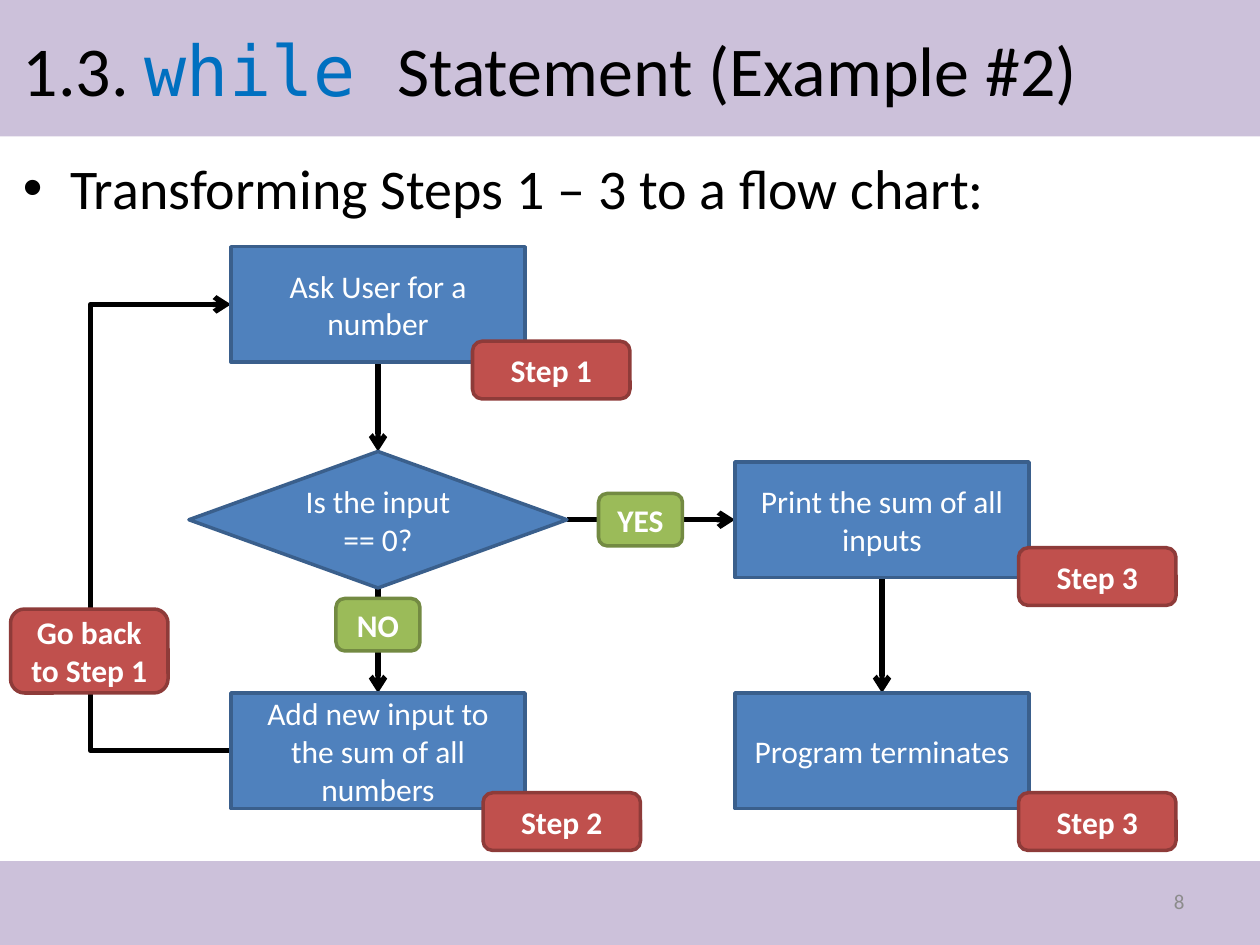
from dataclasses import dataclass

from lxml import etree
from pptx import Presentation
from pptx import util as u
from pptx.dml import color
from pptx.enum import shapes, text
from pptx.oxml import ns

Pt = u.Pt
Kind = shapes.MSO_SHAPE
Align = text.PP_ALIGN


@dataclass(frozen=True)
class Theme:
    band: str = "CCC1DA"
    ink: str = "000000"
    keyword: str = "0070C0"
    muted: str = "8C8C8C"
    white: str = "FFFFFF"
    node: tuple = ("4F81BD", "3A5F8C")
    step: tuple = ("C0504D", "8E3B39")
    answer: tuple = ("9BBB59", "738A42")
    font: str = "Calibri"
    code_font: str = "DejaVu Sans Mono"
    title_size: int = 40
    body_size: int = 32
    node_size: int = 18
    number_size: int = 12
    border: int = 2
    arrow: int = 3


THEME = Theme()


def rgb(value):
    return color.RGBColor.from_string(value)


def add_child(parent, tag, **attributes):
    return etree.SubElement(parent, ns.qn(tag), attributes)


def write(para, words, size, ink=THEME.ink, font=THEME.font, bold=False, align=Align.LEFT):
    para.alignment = align
    span = para.add_run()
    span.text = words
    span.font.name = font
    span.font.size = Pt(size)
    span.font.bold = bold
    span.font.color.rgb = rgb(ink)


def add_text_box(page, left, top, width, height, anchor=text.MSO_ANCHOR.MIDDLE):
    box = page.shapes.add_textbox(Pt(left), Pt(top), Pt(width), Pt(height))
    box.text_frame.word_wrap = True
    box.text_frame.vertical_anchor = anchor
    return box.text_frame.paragraphs[0]


def add_block(page, kind, left, top, width, height, fill, line=None):
    block = page.shapes.add_shape(kind, Pt(left), Pt(top), Pt(width), Pt(height))
    block.shadow.inherit = False
    block.fill.solid()
    block.fill.fore_color.rgb = rgb(fill)
    if line:
        block.line.color.rgb = rgb(line)
        block.line.width = Pt(THEME.border)
    else:
        block.line.fill.background()
    return block


def add_node(page, words, kind, left, top, width, height, colors, bold=False):
    node = add_block(page, kind, left, top, width, height, *colors)
    frame = node.text_frame
    frame.word_wrap = True
    frame.vertical_anchor = text.MSO_ANCHOR.MIDDLE
    write(frame.paragraphs[0], words, THEME.node_size, ink=THEME.white,
          bold=bold, align=Align.CENTER)


def add_arrow(page, start, end, kind=shapes.MSO_CONNECTOR.STRAIGHT):
    arrow = page.shapes.add_connector(kind, *(Pt(value) for value in (*start, *end)))
    arrow.line.color.rgb = rgb(THEME.ink)
    arrow.line.width = Pt(THEME.arrow)
    add_child(arrow.line._get_or_add_ln(), "a:tailEnd", type="arrow")
    add_child(arrow._element.spPr, "a:effectLst")
    return arrow


def add_loop(page, start, end, bend_left):
    loop = add_arrow(page, start, end, shapes.MSO_CONNECTOR.ELBOW)
    bend = round((start[0] - bend_left) / (start[0] - end[0]) * 100000)
    guides = loop._element.spPr.find(ns.qn("a:prstGeom")).get_or_add_avLst()
    add_child(guides, "a:gd", name="adj1", fmla=f"val {bend}")


def build_title(page, left, top, width, height):
    add_block(page, Kind.RECTANGLE, left, top, width, height, THEME.band)
    para = add_text_box(page, left + 6, top + 6, 648, 66)
    write(para, "1.3. ", THEME.title_size)
    write(para, "while ", THEME.title_size, ink=THEME.keyword, font=THEME.code_font)
    write(para, "Statement (Example #2)", THEME.title_size)


def build_footer(page, left, top, width, height):
    add_block(page, Kind.RECTANGLE, left, top, width, height, THEME.band)
    para = add_text_box(page, left + 516, top + 8.5, 168, 29)
    write(para, "8", THEME.number_size, ink=THEME.muted, align=Align.RIGHT)


def build_lead(page, left, top, width, height):
    para = add_text_box(page, left, top, width, height, text.MSO_ANCHOR.TOP)
    settings = para._p.get_or_add_pPr()
    settings.set("marL", str(Pt(27)))
    settings.set("indent", str(Pt(-27)))
    add_child(settings, "a:buFont", typeface="Arial")
    add_child(settings, "a:buChar", char="•")
    write(para, "Transforming Steps 1 – 3 to a flow chart:", THEME.body_size)


def build_flow_chart(page, left, top):
    node_width, node_height = 168, 66
    main, side = left + 126, left + 414
    main_center, side_center = (column + node_width / 2 for column in (main, side))
    test_top, test_width, test_height = top + 117, 216, 78
    test_middle = test_top + test_height / 2
    print_top, last_top = test_middle - node_height / 2 + 6 - 6, top + 255
    test_bottom = test_top + test_height
    test_right = main_center + test_width / 2

    add_loop(page, (main + 1, last_top + node_height / 2),
             (main, top + node_height / 2), left + 45)
    for start, end in (
        ((main_center, top + node_height), (main_center, test_top)),
        ((main_center, test_bottom), (main_center, last_top)),
        ((test_right, test_middle), (side, test_middle)),
        ((side_center, print_top + node_height), (side_center, last_top)),
    ):
        add_arrow(page, start, end)

    for words, column, row in (
        ("Ask User for a number", main, top),
        ("Add new input to the sum of all numbers", main, last_top),
        ("Print the sum of all inputs", side, print_top),
        ("Program terminates", side, last_top),
    ):
        add_node(page, words, Kind.FLOWCHART_PROCESS, column, row,
                 node_width, node_height, THEME.node)
    add_node(page, "Is the input == 0?", Kind.FLOWCHART_DECISION,
             main_center - test_width / 2, test_top, test_width, test_height, THEME.node)

    for words, column, row, width, height, colors in (
        ("Step 1", main + 138, top + 54, 90, 33, THEME.step),
        ("Step 2", main + 144, last_top + 57, 90, 33, THEME.step),
        ("Step 3", side + 162, print_top + 49, 90, 33, THEME.step),
        ("Step 3", side + 162, last_top + 57, 90, 33, THEME.step),
        ("Go back to Step 1", left, top + 207, 90, 48, THEME.step),
        ("YES", test_right + 18, test_middle - 15, 48, 30, THEME.answer),
        ("NO", main_center - 24, test_bottom + 6, 48, 30, THEME.answer),
    ):
        add_node(page, words, Kind.ROUNDED_RECTANGLE, column, row, width, height,
                 colors, bold=True)


def main():
    deck = Presentation()
    deck.slide_width, deck.slide_height = Pt(720), Pt(540)
    page = deck.slides.add_slide(deck.slide_layouts[6])
    build_title(page, 0, 0, 720, 78)
    build_footer(page, 0, 492, 720, 48)
    build_lead(page, 6, 84, 703, 402)
    build_flow_chart(page, 6, 141)
    deck.save("out.pptx")


if __name__ == "__main__":
    main()
